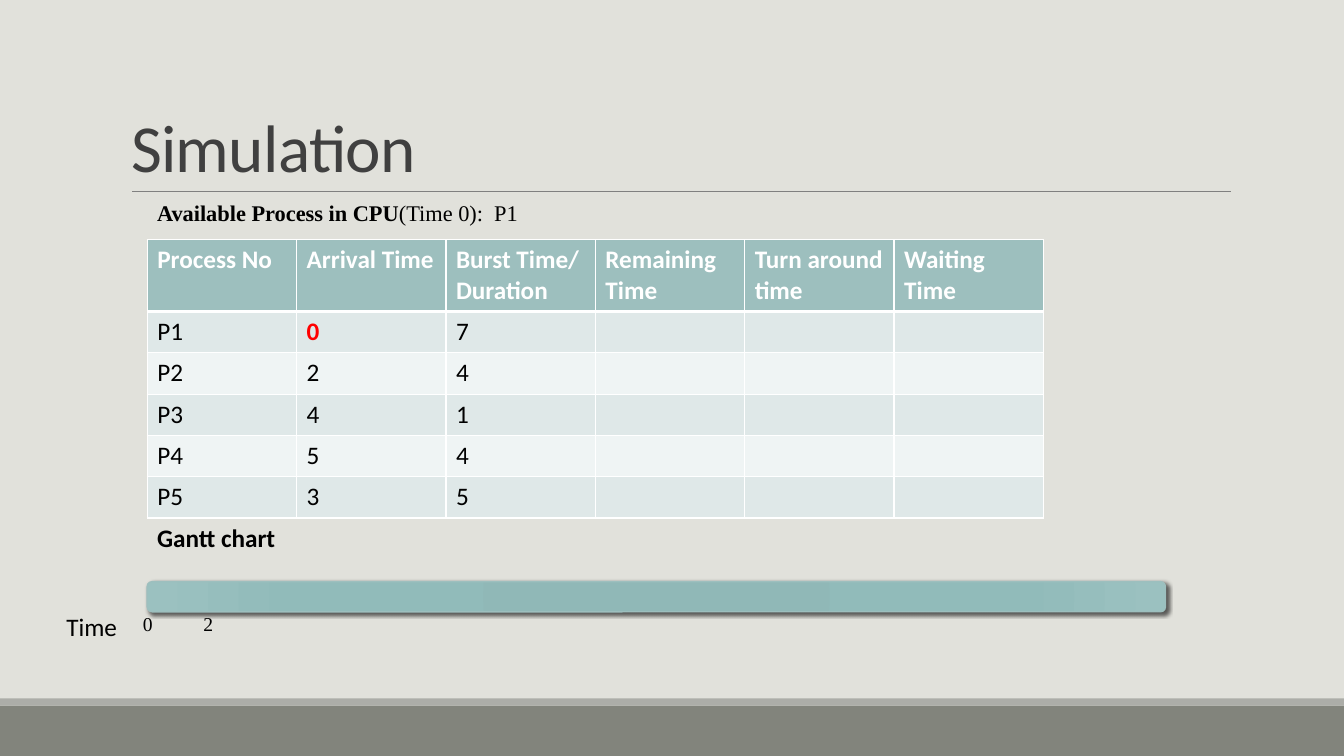
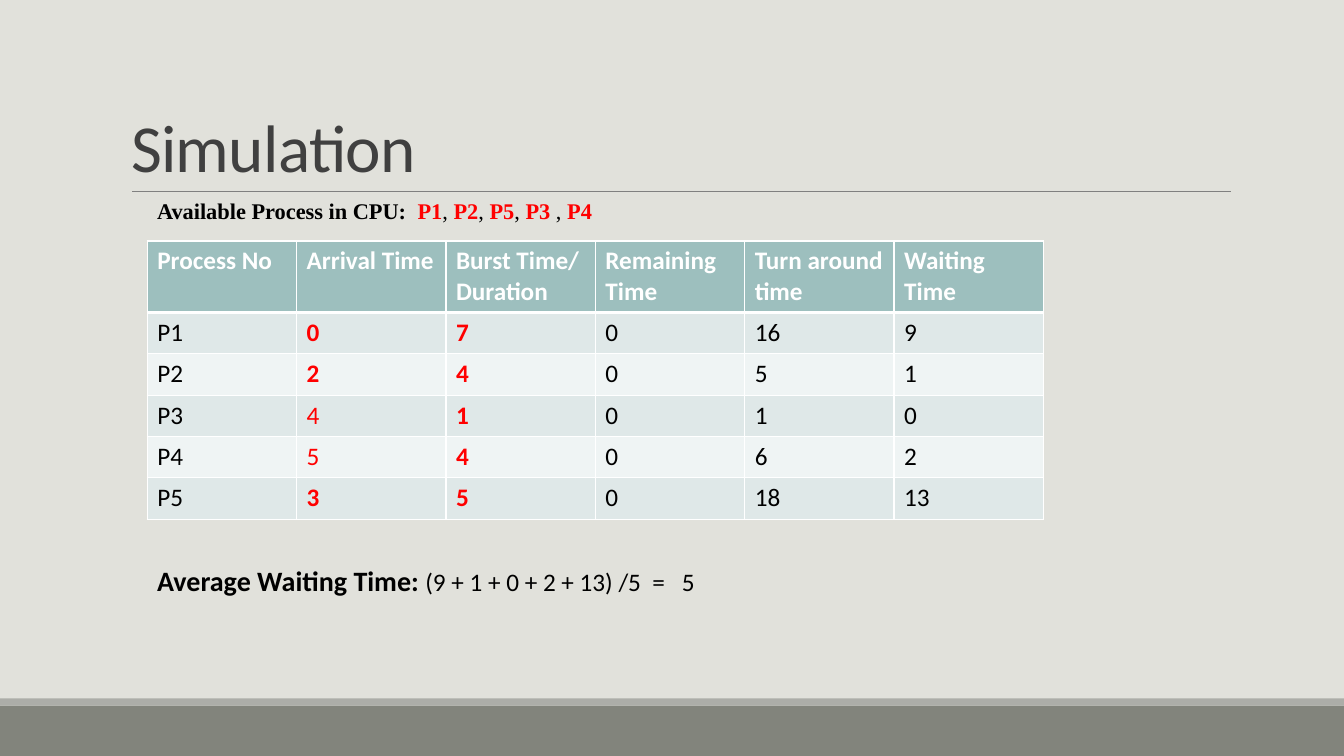
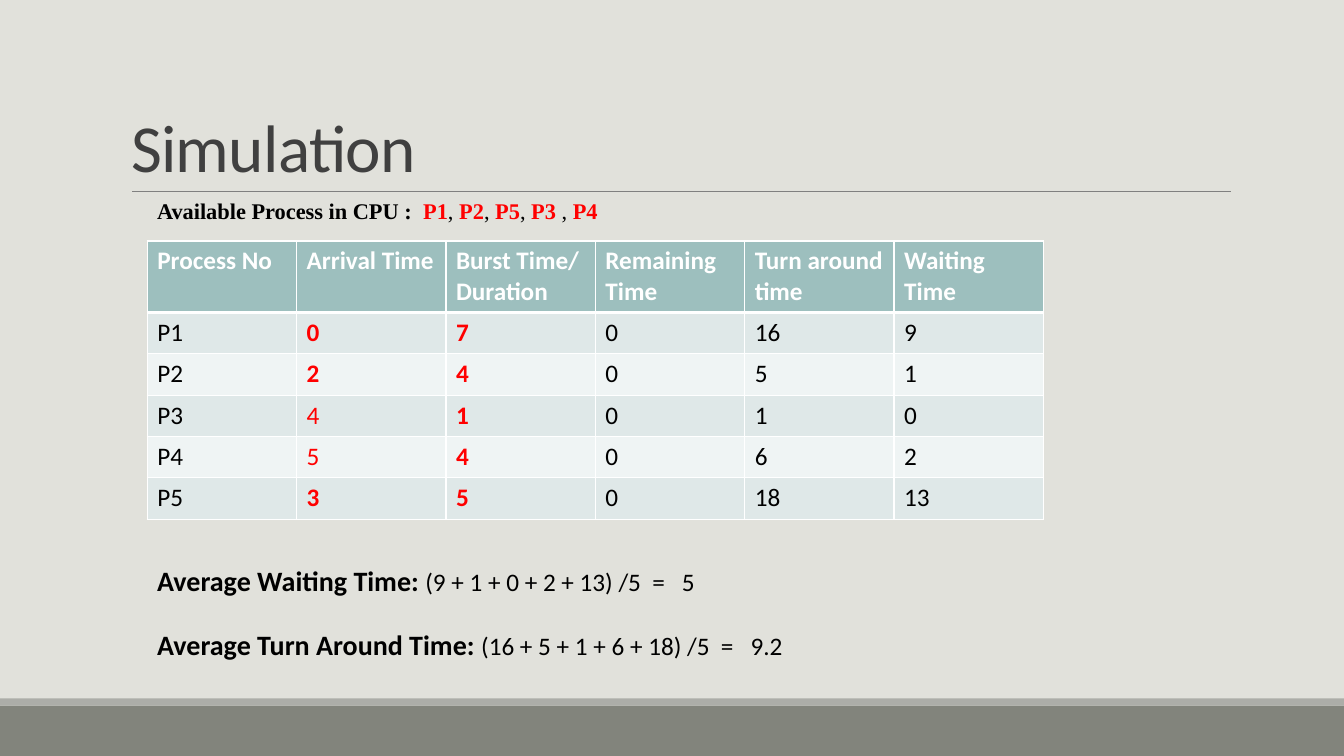
"""Build three slides that simulate process scheduling."""
import dataclasses
import typing

import pptx
import pptx.dml.color
import pptx.enum.shapes
import pptx.enum.text
import pptx.oxml
import pptx.oxml.ns
import pptx.util

PX = 9144
COLORS = {
    "page": "E1E1DB", "footer": "82847C", "stripe": "ACADA8", "rule": "808080",
    "title": "404040", "black": "000000", "red": "FF0000", "white": "FFFFFF",
    "header": "9DBFBE", "odd": "DFE8E8", "even": "EFF4F4",
}
BAR_STOPS = {0: "8EB7B6", 34: "90B8B7", 70: "91BBBA", 100: "9BC1C0"}
SERIF = "Times New Roman"
NAMESPACE = 'xmlns:a="http://schemas.openxmlformats.org/drawingml/2006/main"'
LEFT = 146
HEADINGS = ("Process No", "Arrival Time", "Burst Time/ Duration",
            "Remaining Time", "Turn around time", "Waiting Time")
START_ROWS = (("P1", "0", "7"), ("P2", "2", "4"), ("P3", "4", "1"),
              ("P4", "5", "4"), ("P5", "3", "5"))
RESULTS = (("0", "16", "9"), ("0", "5", "1"), ("0", "1", "0"),
           ("0", "6", "2"), ("0", "18", "13"))
END_ROWS = tuple(start + result for start, result in zip(START_ROWS, RESULTS))
START_RED = {(1, 1)}
END_RED = {(row, column) for row in range(1, 6) for column in (1, 2)}
END_BOLD = END_RED - {(3, 1), (4, 1)}


class Area(typing.NamedTuple):
    """A rectangle in px."""

    left: int
    top: int
    width: int
    height: int

    def emu(self) -> list[int]:
        """Return the rectangle in EMU."""
        return [length * PX for length in self]


@dataclasses.dataclass(frozen=True)
class Span:
    """A piece of text with one format."""

    text: str
    size: int = 18
    font: str = "Calibri"
    color: str = "black"
    bold: bool = False


Line = typing.Sequence[Span]


def rgb(name: str) -> pptx.dml.color.RGBColor:
    """Look up a named colour."""
    return pptx.dml.color.RGBColor.from_string(COLORS[name])


def write(para, text: str, *, size: int = 18, font: str = "Calibri",
          color: str = "black", bold: bool = False):
    """Add formatted text to a paragraph."""
    span = para.add_run()
    span.text = text
    span.font.size = pptx.util.Pt(size)
    span.font.name = font
    span.font.bold = bold
    span.font.color.rgb = rgb(color)
    return span


def add_text(page, area: Area, lines: typing.Sequence[Line], gap: int = 0,
             tab: int = 0) -> None:
    """Add a wrapped text box with an optional gap between lines and a tab stop."""
    frame = page.shapes.add_textbox(*area.emu()).text_frame
    frame.word_wrap = True
    frame.auto_size = pptx.enum.text.MSO_AUTO_SIZE.SHAPE_TO_FIT_TEXT
    for index, line in enumerate(lines):
        para = frame.add_paragraph() if index else frame.paragraphs[0]
        if index:
            para.space_before = pptx.util.Pt(gap)
        if tab:
            para._p.get_or_add_pPr().append(pptx.oxml.parse_xml(
                f'<a:tabLst {NAMESPACE}><a:tab pos="{tab * PX}" algn="l"/></a:tabLst>'))
        for span in line:
            write(para, **dataclasses.asdict(span))


def style_layout(layout, page) -> None:
    """Give the layout its background, footer bands and title rule."""
    layout.background.fill.solid()
    layout.background.fill.fore_color.rgb = rgb("page")
    parts = []
    for area, color in ((Area(0, 700, 1333, 50), "footer"),
                        (Area(0, 693, 1333, 7), "stripe")):
        band = page.shapes.add_shape(
            pptx.enum.shapes.MSO_SHAPE.RECTANGLE, *area.emu())
        band.shadow.inherit = False
        band.fill.solid()
        band.fill.fore_color.rgb = rgb(color)
        band.line.fill.background()
        parts.append(band)
    rule = page.shapes.add_connector(
        pptx.enum.shapes.MSO_CONNECTOR.STRAIGHT,
        131 * PX, 190 * PX, 1221 * PX, 190 * PX)
    rule.line.color.rgb = rgb("rule")
    rule.line.width = pptx.util.Pt(0.5)
    rule.element.spPr.append(pptx.oxml.parse_xml(f"<a:effectLst {NAMESPACE}/>"))
    parts.append(rule)
    for number, part in enumerate(parts, start=20):
        part.element.xpath(".//p:cNvPr")[0].set("id", str(number))
        layout.shapes.element.append(part.element)


def add_title(page, text: str) -> None:
    """Place and format the title."""
    title = page.shapes.title
    title.left, title.top, title.width, title.height = Area(120, 31, 1100, 159).emu()
    title.text_frame.vertical_anchor = pptx.enum.text.MSO_ANCHOR.BOTTOM
    para = title.text_frame.paragraphs[0]
    para.alignment = pptx.enum.text.PP_ALIGN.LEFT
    para.line_spacing = 0.85
    span = write(para, text, size=48, color="title")
    span._r.get_or_add_rPr().set("spc", "-50")


def style_cell(cell, fill: str, top: int, bottom: int) -> None:
    """Set the white borders in points and the fill of a cell."""
    borders = {"lnL": 1, "lnR": 1, "lnT": top, "lnB": bottom}
    for tag, width in borders.items():
        cell._tc.get_or_add_tcPr().append(pptx.oxml.parse_xml(
            f'<a:{tag} {NAMESPACE} w="{pptx.util.Pt(width)}"><a:solidFill>'
            f'<a:srgbClr val="{COLORS["white"]}"/></a:solidFill></a:{tag}>'))
    cell.fill.solid()
    cell.fill.fore_color.rgb = rgb(fill)


def add_process_table(page, top: int, rows: typing.Sequence[typing.Sequence[str]],
                      red: set, bold: set) -> None:
    """Add the process table, with red and bold cells by row and column."""
    area = Area(LEFT, top, 889, 274)
    table = page.shapes.add_table(
        len(rows) + 1, len(HEADINGS), *area.emu()).table
    table.horz_banding = False
    for column in table.columns:
        column.width = area.width * PX // len(HEADINGS)
    for index, row in enumerate(table.rows):
        row.height = (41 if index else 70) * PX
    for row_index, texts in enumerate((HEADINGS, *rows)):
        header = row_index == 0
        fill = "header" if header else "odd" if row_index % 2 else "even"
        for column_index in range(len(HEADINGS)):
            cell = table.cell(row_index, column_index)
            style_cell(cell, fill, 3 if row_index == 1 else 1, 3 if header else 1)
            if column_index < len(texts):
                place = (row_index, column_index)
                color = "white" if header else "red" if place in red else "black"
                write(cell.text_frame.paragraphs[0], texts[column_index],
                      color=color, bold=header or place in bold)


def add_gantt_bar(page) -> None:
    """Add the empty Gantt bar with its gradient and shadow."""
    bar = page.shapes.add_shape(pptx.enum.shapes.MSO_SHAPE.ROUNDED_RECTANGLE,
                                *Area(LEFT, 577, 1010, 30).emu())
    stops = "".join(
        f'<a:gs pos="{position * 1000}"><a:srgbClr val="{color}"/></a:gs>'
        for position, color in BAR_STOPS.items())
    bar.element.spPr.insert(2, pptx.oxml.parse_xml(
        f'<a:gradFill {NAMESPACE} rotWithShape="1"><a:gsLst>{stops}</a:gsLst>'
        '<a:path path="circle"><a:fillToRect l="100000" t="100000" r="100000" '
        'b="100000"/></a:path></a:gradFill>'))
    bar.line.color.rgb = rgb("header")
    bar.line.width = pptx.util.Pt(1)
    bar.shadow.inherit = False
    effects = bar.element.spPr.find(pptx.oxml.ns.qn("a:effectLst"))
    effects.append(pptx.oxml.parse_xml(
        f'<a:outerShdw {NAMESPACE} blurRad="{pptx.util.Pt(3)}" '
        f'dist="{pptx.util.Pt(2)}" dir="2700000" algn="tl" rotWithShape="0">'
        f'<a:srgbClr val="{COLORS["black"]}"><a:alpha val="60000"/></a:srgbClr>'
        '</a:outerShdw>'))


def queue_line(label: str) -> Line:
    """Return the label and the finished processes in red."""
    line = [Span(label, 16, SERIF, bold=True)]
    for separator, process in ((" ", "P1"), (", ", "P2"), (", ", "P5"),
                               (", ", "P3"), (" , ", "P4")):
        line += [Span(separator, 16, SERIF), Span(process, 16, SERIF, "red", True)]
    return line


def average_line(label: str, formula: str) -> Line:
    """Return a bold label with its formula."""
    return [Span(label, 20, bold=True), Span(formula)]


def add_start(page) -> None:
    """Fill the slide for the start of the simulation."""
    add_process_table(page, 238, START_ROWS, START_RED, START_RED)
    add_text(page, Area(LEFT, 193, 1023, 64),
             [[Span("Available Process in CPU", 16, SERIF, bold=True),
               Span("(Time 0):  P1", 16, SERIF)]])
    add_gantt_bar(page)
    add_text(page, Area(LEFT, 513, 608, 40), [[Span("Gantt chart", bold=True)]])
    add_text(page, Area(56, 602, 76, 40), [[Span("Time")]])
    add_text(page, Area(132, 602, 1010, 34), [[Span("0\t2", 14, SERIF)]], tab=60)


def add_result(page, label: str, averages: typing.Sequence[Line], height: int) -> None:
    """Fill a slide with the finished simulation and its averages."""
    add_process_table(page, 239, END_ROWS, END_RED, END_BOLD)
    add_text(page, Area(LEFT, 191, 1023, 64), [queue_line(label)])
    add_text(page, Area(LEFT, 554, 790, height), averages, gap=22)


def main() -> None:
    """Build and save the deck."""
    deck = pptx.Presentation()
    deck.slide_width, deck.slide_height = 1333 * PX, 750 * PX
    layout = deck.slide_layouts.get_by_name("Title Only")
    pages = [deck.slides.add_slide(layout) for _ in range(3)]
    style_layout(layout, pages[0])
    for page in pages:
        add_title(page, "Simulation")
    waiting = average_line("Average Waiting Time: ", "(9 + 1 + 0 + 2 + 13) /5  =   5")
    turn_around = average_line("Average Turn Around Time: ",
                               "(16 + 5 + 1 + 6 + 18) /5  =   9.2")
    add_start(pages[0])
    add_result(pages[1], "Available Process in CPU: ", [waiting], 44)
    add_result(pages[2], "Available Process in CPU : ", [waiting, turn_around], 138)
    deck.save("out.pptx")


if __name__ == "__main__":
    main()
